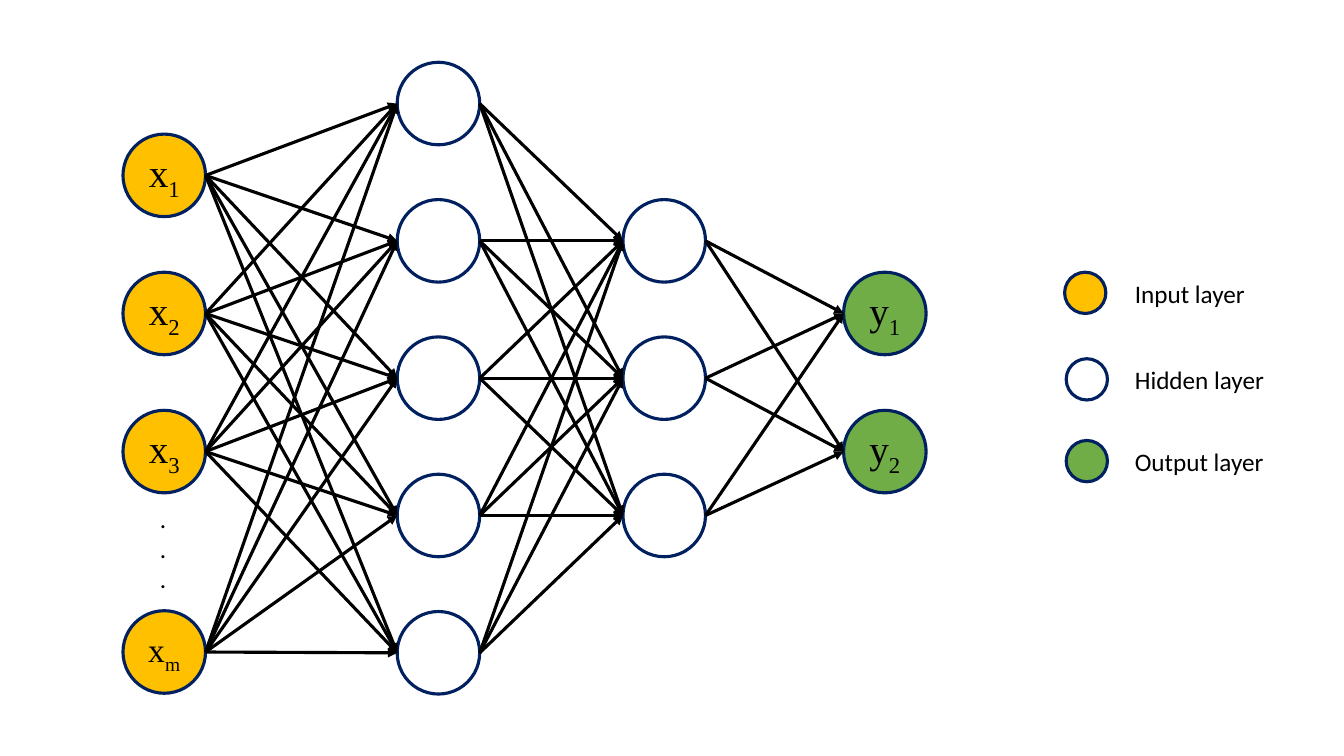
from itertools import pairwise, product

from lxml import etree
from pptx import Presentation
from pptx.dml.color import RGBColor
from pptx.enum.shapes import MSO_CONNECTOR, MSO_SHAPE
from pptx.enum.text import MSO_AUTO_SIZE, PP_ALIGN
from pptx.oxml.ns import qn
from pptx.util import Cm, Pt

OVAL = MSO_SHAPE.OVAL
STRAIGHT = MSO_CONNECTOR.STRAIGHT
FIT_SHAPE = MSO_AUTO_SIZE.SHAPE_TO_FIT_TEXT
CENTER = PP_ALIGN.CENTER

AMBER = RGBColor(0xFF, 0xC0, 0x00)
WHITE = RGBColor(0xFF, 0xFF, 0xFF)
GREEN = RGBColor(0x70, 0xAD, 0x47)
NAVY = RGBColor(0x00, 0x20, 0x60)
BLACK = RGBColor(0x00, 0x00, 0x00)

LINE_WIDTH = Pt(2.25)
NODE_SIZE = 2.08
LEGEND_SIZE = 1.04
INPUT_TOP, INPUT_STEP = 3.38, 3.48
HIDDEN_TOP, HIDDEN_STEP = 1.57, 3.46

deck = Presentation()
deck.slide_width, deck.slide_height = Cm(33.87), Cm(19.05)
page = deck.slides.add_slide(deck.slide_layouts[6])


def add_circle(left, top, size, color):
    circle = page.shapes.add_shape(OVAL, Cm(left), Cm(top), Cm(size), Cm(size))
    circle.shadow.inherit = False
    circle.fill.solid()
    circle.fill.fore_color.rgb = color
    circle.line.color.rgb = NAVY
    circle.line.width = LINE_WIDTH
    return circle


def add_span(para, text, font="Calibri", size=18):
    span = para.add_run()
    span.text = text
    span.font.name = font
    span.font.size = Pt(size)
    span.font.color.rgb = BLACK
    return span


# Layers: left edge, colour, and (top, letter, subscript, text size) of each node
input_tops = [INPUT_TOP + INPUT_STEP * row for row in range(3)]
hidden_tops = [HIDDEN_TOP + HIDDEN_STEP * row for row in range(5)]
layers = [
    (3.1, AMBER, [(top, "x", str(number), 28)
                  for number, top in enumerate(input_tops, 1)]
     + [(15.39, "x", "m", 24)]),
    (10.01, WHITE, [(top, "", "", 0) for top in hidden_tops]),
    (15.7, WHITE, [(top, "", "", 0) for top in hidden_tops[1:4]]),
    (21.26, GREEN, [(top, "y", str(number), 28)
                    for number, top in enumerate(input_tops[1:], 1)]),
]

for left, color, nodes in layers:
    for top, letter, subscript, size in nodes:
        node = add_circle(left, top, NODE_SIZE, color)
        if letter:
            para = node.text_frame.paragraphs[0]
            para.alignment = CENTER
            add_span(para, letter, "Times New Roman", size)
            index = add_span(para, subscript, "Times New Roman", size)
            index.font._element.set("baseline", "-25000")

# Every node points to every node of the next layer
for (left, _, sources), (next_left, _, targets) in pairwise(layers):
    for source, target in product(sources, targets):
        arrow = page.shapes.add_connector(
            STRAIGHT,
            Cm(left + NODE_SIZE), Cm(source[0] + NODE_SIZE / 2),
            Cm(next_left), Cm(target[0] + NODE_SIZE / 2))
        arrow.line.color.rgb = BLACK
        arrow.line.width = LINE_WIDTH
        etree.SubElement(arrow.line._get_or_add_ln(), qn("a:tailEnd"), type="triangle")
        etree.SubElement(arrow._element.spPr, qn("a:effectLst"))

# Legend and the dots between the third and last inputs
legend = [
    (26.83, 6.86, AMBER, "Input layer", 3.33),
    (26.87, 9.04, WHITE, "Hidden layer", 3.81),
    (26.87, 11.1, GREEN, "Output layer", 3.78),
]
labels = [(3.78, 12.55, 0.69, 2.57, [".", ".", "."])]
for left, top, color, name, width in legend:
    add_circle(left, top, LEGEND_SIZE, color)
    labels.append((28.35, top + 0.02, width, 1.03, [name]))

for left, top, width, height, lines in labels:
    box = page.shapes.add_textbox(Cm(left), Cm(top), Cm(width), Cm(height))
    frame = box.text_frame
    frame.word_wrap = False
    frame.auto_size = FIT_SHAPE
    for number, line in enumerate(lines):
        para = frame.add_paragraph() if number else frame.paragraphs[0]
        add_span(para, line)

deck.save("out.pptx")
